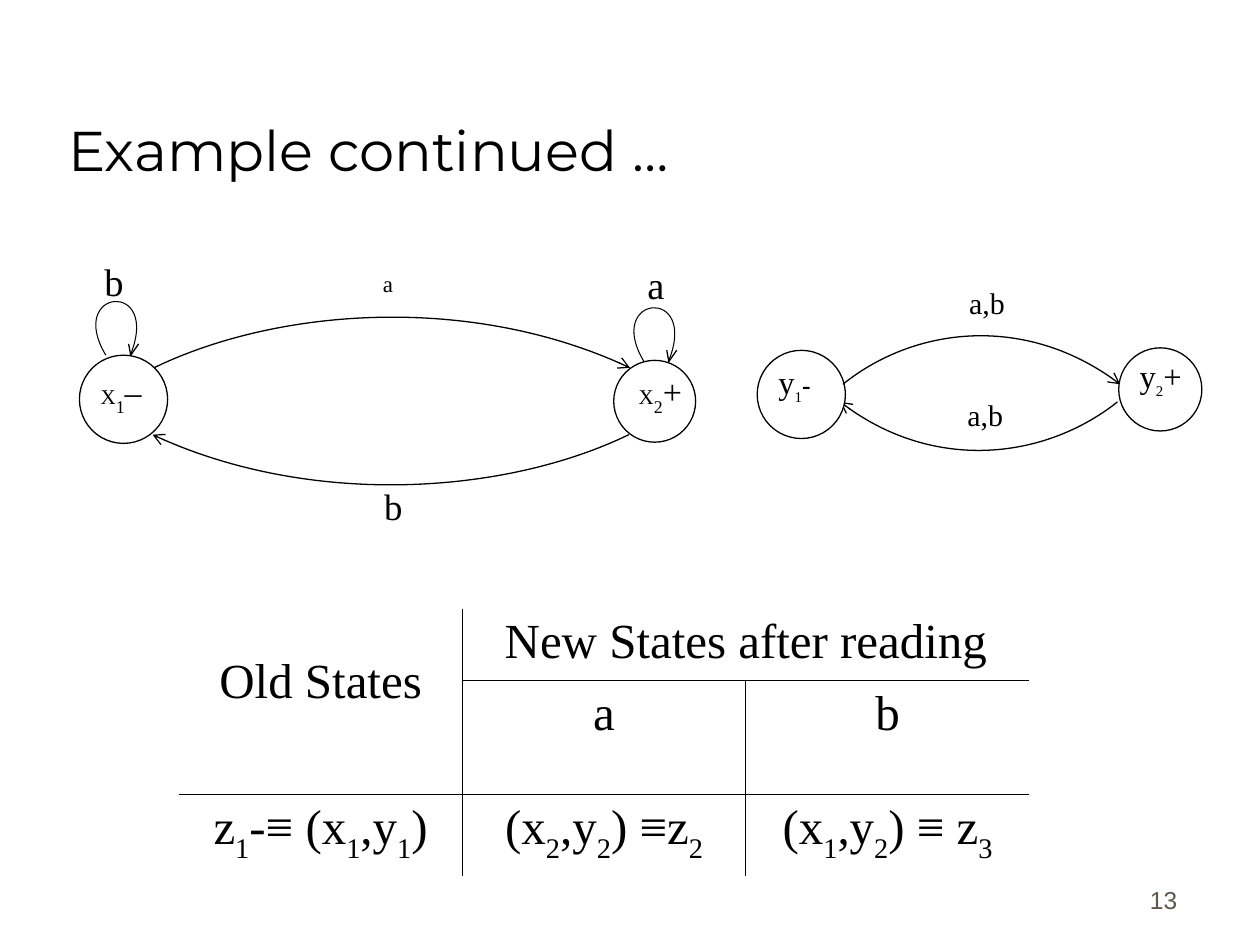
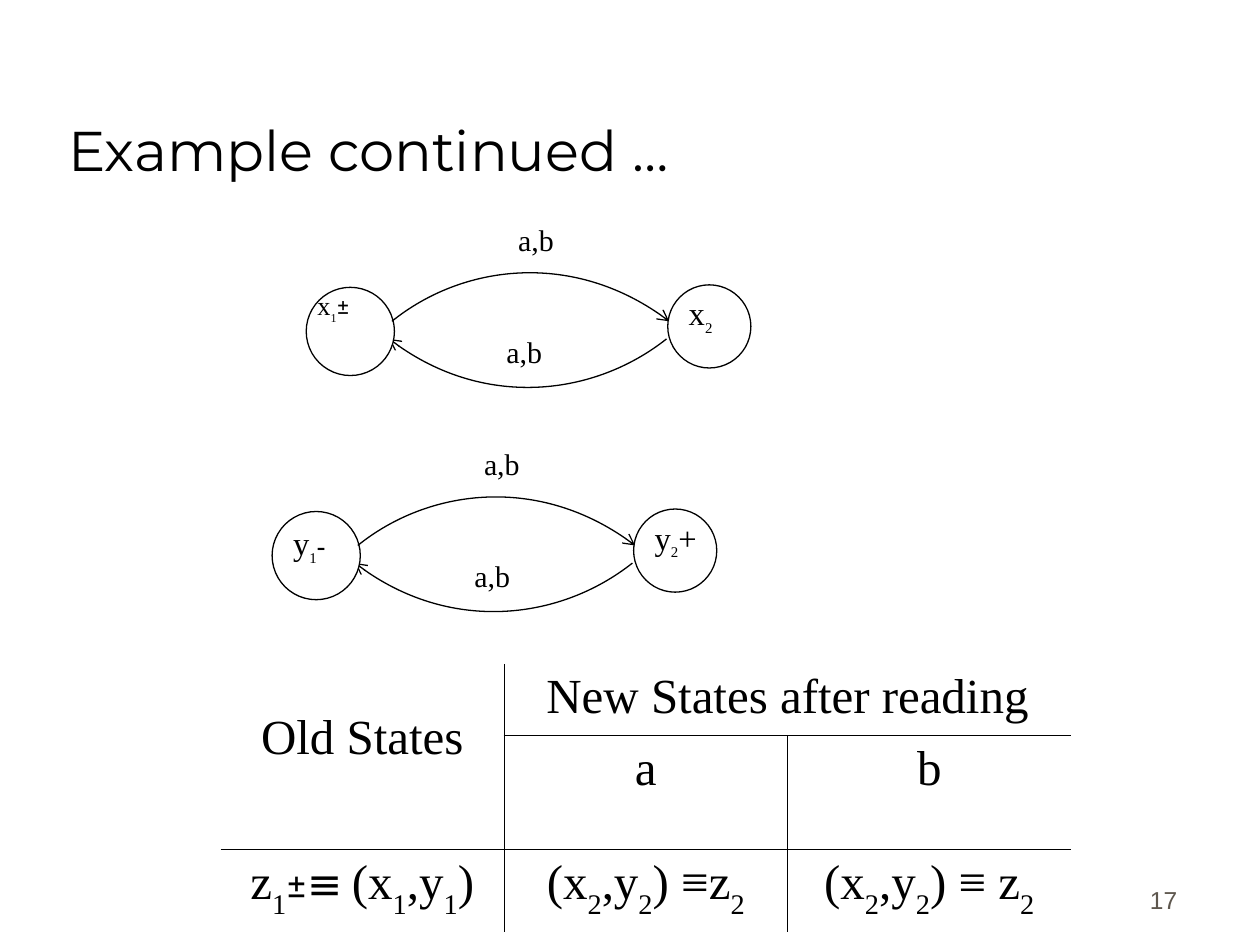
from dataclasses import dataclass
from itertools import product
from typing import Optional

from lxml.etree import SubElement
from pptx import Presentation
from pptx.dml.color import RGBColor
from pptx.enum.shapes import MSO_SHAPE
from pptx.enum.text import MSO_ANCHOR, PP_ALIGN
from pptx.oxml.ns import qn
from pptx.util import Pt


@dataclass(frozen=True)
class Theme:
    ink: RGBColor = RGBColor(0, 0, 0)
    paper: RGBColor = RGBColor(255, 255, 255)
    muted: RGBColor = RGBColor(0x5E, 0x57, 0x4E)
    body: str = "Times New Roman"
    head: str = "Montserrat"
    foot: str = "Arial"
    sign: str = "Cabin"
    title: float = 32
    page: float = 14
    grid: float = 28
    glyph: float = 24
    loop: float = 22
    under: float = 21
    over: float = 13.1
    edge: float = 17.1
    state: float = 18.6
    index: float = 14.7
    small: float = 15
    tiny: float = 11.9
    cap: float = 12
    capsub: float = 17.6
    mark: float = 19.4
    line: float = 0.75
    thin: float = 0.6
    rule: float = 0.45


@dataclass(frozen=True)
class Bit:
    text: str
    size: Optional[float] = None
    font: Optional[str] = None
    bold: Optional[bool] = None


T = Theme()


def style(para, size, name=T.body, color=T.ink):
    para.font.size = Pt(size)
    para.font.name = name
    para.font.color.rgb = color


def write(para, size, bits):
    style(para, size)
    for bit in bits:
        bit = Bit(bit) if isinstance(bit, str) else bit
        run = para.add_run()
        run.text = bit.text
        if bit.size:
            run.font.size = Pt(bit.size)
        if bit.font:
            run.font.name = bit.font
        if bit.bold:
            run.font.bold = True
        if bit.text.isdigit():
            run._r.get_or_add_rPr().set("baseline", "-30000")


def note(slide, x, y, w, h, size, *bits, gap=None):
    frame = slide.shapes.add_textbox(Pt(x), Pt(y), Pt(w), Pt(h)).text_frame
    frame.word_wrap = True
    para = frame.paragraphs[0]
    para.line_spacing = gap
    write(para, size, bits)


def ring(slide, x, y, size):
    shape = slide.shapes.add_shape(MSO_SHAPE.OVAL, Pt(x), Pt(y), Pt(size), Pt(size))
    shape.shadow.inherit = False
    shape.fill.solid()
    shape.fill.fore_color.rgb = T.paper
    shape.line.color.rgb = T.ink
    shape.line.width = Pt(T.line)


def trace(slide, x, y, points, width=T.line):
    spots = [(Pt(x + dx), Pt(y + dy)) for dx, dy in points]
    form = slide.shapes.build_freeform(*spots[0])
    form.add_line_segments(spots[1:], close=False)
    shape = form.convert_to_shape()
    shape.shadow.inherit = False
    shape.fill.background()
    shape.line.color.rgb = T.ink
    shape.line.width = Pt(width)
    return shape


def curve(slide, x, y, points, width=T.line, arrow=True):
    shape = trace(slide, x, y, points, width)
    steps = list(shape._element.iter(qn("a:lnTo")))
    bend = SubElement(steps[0].getparent(), qn("a:cubicBezTo"))
    for step in steps:
        bend.append(step[0])
        step.getparent().remove(step)
    if arrow:
        SubElement(shape.line._get_or_add_ln(), qn("a:tailEnd"), type="arrow")


def loop(slide, x, y):
    curve(slide, x, y, [(0, 0), (-23, -38.2), (31.7, -43.6), (14, 0)], T.thin, False)
    trace(slide, x, y, [(13, -6.5), (14.2, 0), (18.7, -6.5)])


def cycle(slide, x, y):
    ring(slide, x + 305.3, y + 2.9, 46.8)
    ring(slide, x, y, 50.4)
    curve(slide, x, y, [(42.5, 7.2), (112.3, -26.6), (224.6, -35.3), (314.6, 7.2)])
    curve(slide, x, y, [(313.9, 45.4), (244.1, 79.2), (131, 87.1), (41.8, 45.4)])
    loop(slide, x + 15.1, y)
    loop(slide, x + 322.6, y + 3.6)
    for dx, num, sign in ((5, "1", "–"), (312.5, "2", "+")):
        note(slide, x + dx, y + 5.5, 70.6, 38, T.cap, "X",
             Bit(num, T.capsub), Bit(sign, T.mark), gap=0.9)
    note(slide, x + 7.2, y - 59, 60, 40, T.loop, "b")
    note(slide, x + 317.5, y - 57.6, 60, 40, T.loop, "a")
    note(slide, x + 167, y + 69.8, 28, 33, T.under, "b")
    note(slide, x + 166.3, y - 49.7, 24, 24, T.over, "a", gap=0.8)


def pair(slide, x, y, first, last, low=108.5, shift=(5, 5.8), size=T.state):
    ring(slide, x + 206.6, y - 1.4, 47.5)
    curve(slide, x, y, [(205.9, 29.5), (165, 61.9), (99.4, 69.8), (47.5, 29.5)])
    ring(slide, x, y, 50.4)
    curve(slide, x, y, [(49, 19.4), (89.3, -13), (154.8, -20.9), (207.4, 19.4)])
    for dx, dy in ((114, -37.4), (low, 26.8)):
        note(slide, x + dx, y + dy, 72.7, 29.5, T.edge, "a,b", gap=0.8)
    note(slide, x + shift[0], y + shift[1], 57.6, 33, size, *first, gap=0.8)
    note(slide, x + 211.5, y + 2.7, 57.6, 32.4, T.state, *last, gap=0.8)


def border(cell, row, col):
    sides = {
        "L": col == 1 or col == 2 and row > 0,
        "R": col == 0 or col == 1 and row > 0,
        "T": row == 2 or row == 1 and col > 0,
        "B": row == 1 or row == 0 and col > 0,
    }
    cell.fill.background()
    props = cell._tc.get_or_add_tcPr()
    for spot, (side, shown) in enumerate(sides.items()):
        line = SubElement(props, qn(f"a:ln{side}"), w=str(Pt(T.rule)))
        props.insert(spot, line)
        if shown:
            fill = SubElement(line, qn("a:solidFill"))
            SubElement(fill, qn("a:srgbClr"), val=str(T.ink))
        else:
            SubElement(line, qn("a:noFill"))


def grid(slide, x, y, states):
    rows = (41, 65, 47)
    wide = 162
    table = slide.shapes.add_table(3, 3, Pt(x), Pt(y), Pt(3 * wide), Pt(sum(rows))).table
    table.first_row = table.horz_banding = False
    for col in table.columns:
        col.width = Pt(wide)
    for row, high in zip(table.rows, rows):
        row.height = Pt(high)
    for row, col in product(range(3), repeat=2):
        border(table.cell(row, col), row, col)
    table.cell(0, 0).merge(table.cell(1, 0))
    table.cell(0, 1).merge(table.cell(0, 2))
    table.cell(0, 0).margin_top = Pt(26.6)
    words = {(0, 0): ["Old States"], (0, 1): ["New States after reading"],
             (1, 1): ["a"], (1, 2): ["b"]}
    words.update({(2, col): bits for col, bits in enumerate(states)})
    for spot, bits in words.items():
        para = table.cell(*spot).text_frame.paragraphs[0]
        para.alignment = PP_ALIGN.CENTER
        write(para, T.grid, bits)


def start(deck, page):
    slide = deck.slides.add_slide(deck.slide_layouts[5])
    title = slide.shapes.title
    title.left, title.top, title.width, title.height = Pt(31.7), Pt(18), Pt(612), Pt(90)
    title.text_frame.text = "Example continued …"
    title.text_frame.vertical_anchor = MSO_ANCHOR.BOTTOM
    para = title.text_frame.paragraphs[0]
    para.alignment = PP_ALIGN.LEFT
    style(para, T.title, T.head)
    foot = slide.shapes.add_textbox(Pt(530), Pt(490.3), Pt(149.8), Pt(36)).text_frame
    foot.word_wrap = True
    foot.vertical_anchor = MSO_ANCHOR.BOTTOM
    para = foot.paragraphs[0]
    para.text = page
    para.alignment = PP_ALIGN.RIGHT
    style(para, T.page, T.foot, T.muted)
    return slide


def main():
    deck = Presentation()
    deck.slide_width, deck.slide_height = Pt(720), Pt(540)
    minus = ["y", Bit("1", T.index), Bit("-", T.index, bold=True)]
    plus = ["y", Bit("2", T.index), "+"]
    both = ["(x", "2", ",y", "2", ") ≡z", "2"]

    slide = start(deck, "13")
    grid(slide, 102.2, 347.8, [
        ["z", "1", "-≡ (x", "1", ",y", "1", ")"],
        both,
        ["(x", "1", ",y", "2", ") ≡ z", "3"],
    ])
    pair(slide, 432.7, 200.2, minus, plus, low=113)
    cycle(slide, 45.4, 203)

    slide = start(deck, "17")
    grid(slide, 126, 379.4, [
        ["z", "1", Bit("±≡ ", T.glyph, T.sign), "(x", "1", ",y", "1", ")"],
        both,
        ["(x", "2", ",y", "2", ") ≡ z", "2"],
    ])
    pair(slide, 155.5, 292.3, minus, plus)
    pair(slide, 175, 164.2, ["x", Bit("1", T.tiny), Bit("±", font=T.sign)],
         ["x", Bit("2", T.index)], low=107.3, shift=(-0.7, 0), size=T.small)
    deck.save("out.pptx")


if __name__ == "__main__":
    main()
